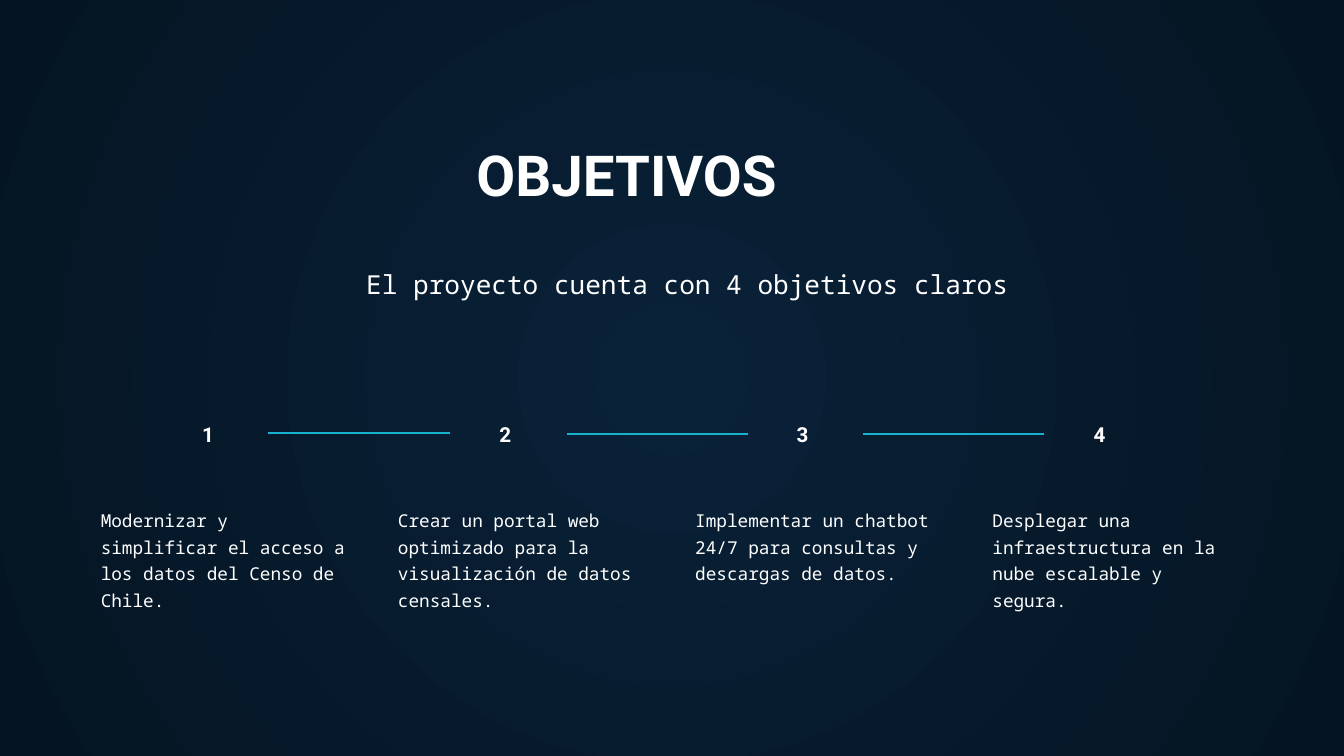
import pptx
import pptx.dml.color
import pptx.enum.dml
import pptx.enum.shapes
import pptx.enum.text
import pptx.oxml
import pptx.oxml.ns
import pptx.util
from pptx.util import Inches

WHITE = pptx.dml.color.RGBColor(0xFF, 0xFF, 0xFF)
CYAN = pptx.dml.color.RGBColor(0x19, 0xB2, 0xCE)
NAVY = pptx.dml.color.RGBColor(0x09, 0x22, 0x38)
MIDNIGHT = pptx.dml.color.RGBColor(0x05, 0x14, 0x23)
HEADING_FONT = "Roboto"
BODY_FONT = "Noto Sans Mono"
LEFT = pptx.enum.text.PP_ALIGN.LEFT
CENTER = pptx.enum.text.PP_ALIGN.CENTER

OBJECTIVES = [
    ("Modernizar y simplificar el acceso a los datos del Censo de Chile.", 1.57),
    ("Crear un portal web optimizado para la visualización de datos censales.", 1.57),
    ("Implementar un chatbot 24/7 para consultas y descargas de datos.", 1.17),
    ("Desplegar una infraestructura en la nube escalable y segura.", 1.57),
]
FIRST_COLUMN = 1.5
COLUMN_STEP = 4.423
CONNECTORS = [(3.99, 6.7, 6.45), (8.44, 11.13, 6.46), (12.84, 15.53, 6.46)]


class SlideBuilder:
    def __init__(self, page):
        self.page = page

    def radial_background(self, center, edge):
        fill = self.page.background.fill
        fill.gradient()
        for stop, color, position in zip(fill.gradient_stops, (center, edge), (0, 1)):
            stop.color.rgb = color
            stop.position = position
        linear = next(self.page.element.iter(pptx.oxml.ns.qn("a:lin")))
        circle = pptx.oxml.parse_xml(
            f'<a:path {pptx.oxml.ns.nsdecls("a")} path="circle">'
            '<a:fillToRect l="50000" t="50000" r="50000" b="50000"/></a:path>'
        )
        linear.getparent().replace(linear, circle)

    def text(self, wording, left, top, width, height, size, spacing,
             font=BODY_FONT, bold=False, align=LEFT):
        box = self.page.shapes.add_textbox(
            Inches(left), Inches(top), Inches(width), Inches(height))
        frame = box.text_frame
        frame.word_wrap = True
        frame.auto_size = pptx.enum.text.MSO_AUTO_SIZE.SHAPE_TO_FIT_TEXT
        frame.margin_left = frame.margin_right = 0
        frame.margin_top = frame.margin_bottom = 0
        frame.text = wording
        para = frame.paragraphs[0]
        para.alignment = align
        para.line_spacing = pptx.util.Pt(spacing)
        span = para.runs[0]
        span.font.name = font
        span.font.size = pptx.util.Pt(size)
        span.font.bold = bold
        span.font.color.rgb = WHITE

    def connector(self, start, end, top):
        line = self.page.shapes.add_connector(
            pptx.enum.shapes.MSO_CONNECTOR.STRAIGHT,
            Inches(start), Inches(top), Inches(end), Inches(top))
        line.line.color.rgb = CYAN
        line.line.width = pptx.util.Pt(2.25)
        properties = line.element.spPr
        properties.append(pptx.oxml.parse_xml(
            f'<a:effectLst {pptx.oxml.ns.nsdecls("a")}/>'))


def main():
    deck = pptx.Presentation()
    deck.slide_width = Inches(20)
    deck.slide_height = Inches(11.25)
    builder = SlideBuilder(deck.slides.add_slide(deck.slide_layouts[6]))

    builder.radial_background(NAVY, MIDNIGHT)
    builder.text("OBJETIVOS", 7.09, 1.91, 5.57, 1.12, 60.5, 84.6, HEADING_FONT, True)
    builder.text("El proyecto cuenta con 4 objetivos claros",
                 5.45, 3.88, 17.2, 0.55, 28, 42)

    for index, (objective, height) in enumerate(OBJECTIVES):
        left = FIRST_COLUMN + index * COLUMN_STEP
        builder.text(str(index + 1), left + 0.86, 6.22, 1.47, 0.41, 22.1, 31,
                     HEADING_FONT, True, CENTER)
        builder.text(objective, left, 7.51, 3.73, height, 19, 28.5)

    for start, end, top in CONNECTORS:
        builder.connector(start, end, top)

    deck.save("out.pptx")


if __name__ == "__main__":
    main()
